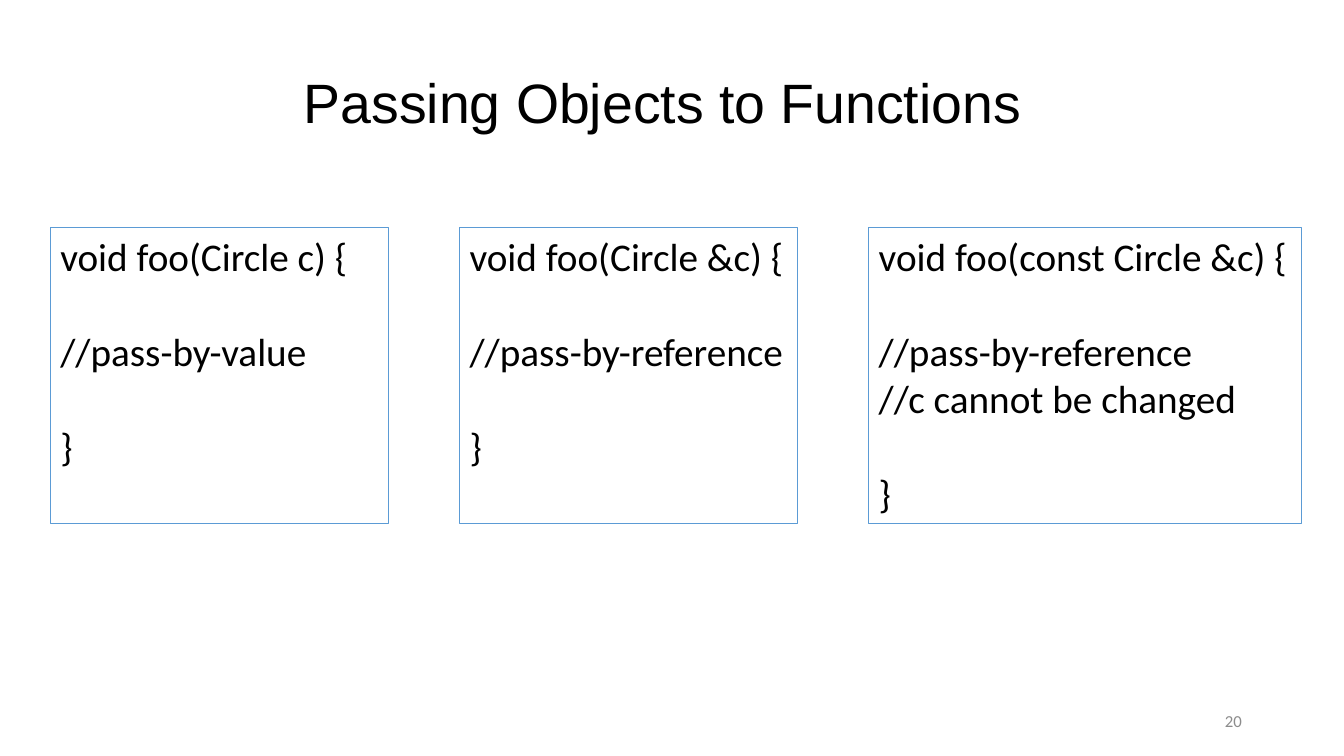
from pptx import Presentation
from pptx.dml.color import RGBColor
from pptx.enum.shapes import MSO_SHAPE
from pptx.enum.text import MSO_ANCHOR, MSO_AUTO_SIZE, PP_ALIGN
from pptx.util import Pt

RECTANGLE = MSO_SHAPE.RECTANGLE
TOP, MIDDLE = MSO_ANCHOR.TOP, MSO_ANCHOR.MIDDLE
LEFT, CENTER, RIGHT = PP_ALIGN.LEFT, PP_ALIGN.CENTER, PP_ALIGN.RIGHT
NO_AUTOFIT = MSO_AUTO_SIZE.NONE

BLACK = RGBColor(0x00, 0x00, 0x00)
GRAY = RGBColor(0x8C, 0x8C, 0x8C)
BLUE = RGBColor(0x5B, 0x9B, 0xD5)

TITLE_FONT = {"name": "Arial", "size": Pt(39.6)}
CODE_FONT = {"name": "Calibri", "size": Pt(28)}
NUMBER_FONT = {"name": "Calibri", "size": Pt(12)}
CODE_LINE = 34.2

SIGNATURES = [
    (241.2, "void foo(Circle c) {", ["//pass-by-value"]),
    (241.2, "void foo(Circle &c) {", ["//pass-by-reference"]),
    (308.9, "void foo(const Circle &c) {",
     ["//pass-by-reference", "//c cannot be changed"]),
]


def set_attributes(target, values):
    for key, value in values.items():
        setattr(target, key, value)


def set_frame(frame, anchor):
    set_attributes(frame, {"word_wrap": True, "auto_size": NO_AUTOFIT,
                           "vertical_anchor": anchor})


def write(paragraph, text, font, color, align):
    paragraph.text = text
    paragraph.alignment = align
    set_attributes(paragraph.font, font)
    paragraph.font.color.rgb = color


def add_title(slide, left, top, width, height):
    title = slide.shapes.title
    set_attributes(title, {"left": Pt(left), "top": Pt(top),
                           "width": Pt(width), "height": Pt(height)})
    set_frame(title.text_frame, MIDDLE)
    heading = title.text_frame.paragraphs[0]
    write(heading, "Passing Objects to Functions ", TITLE_FONT, BLACK, CENTER)
    heading.line_spacing = 0.9


def add_function(slide, left, top, width, height, signature, comments):
    panel = slide.shapes.add_shape(
        RECTANGLE, Pt(left), Pt(top), Pt(width), Pt(height))
    panel.shadow.inherit = False
    panel.fill.background()
    panel.line.color.rgb = BLUE
    panel.line.width = Pt(0.75)
    frame = panel.text_frame
    set_frame(frame, TOP)
    write(frame.paragraphs[0], signature, CODE_FONT, BLACK, LEFT)
    for index, code in enumerate([*comments, "}"]):
        statement = frame.add_paragraph()
        write(statement, code, CODE_FONT, BLACK, LEFT)
        opens_block = index in (0, len(comments))
        statement.space_before = Pt(CODE_LINE if opens_block else 0)


def add_functions(slide, left, top, pitch, height):
    for column, (width, signature, comments) in enumerate(SIGNATURES):
        add_function(slide, left + column * pitch, top, width, height,
                     signature, comments)


def add_slide_number(slide, left, top, width, height):
    number = slide.shapes.add_textbox(
        Pt(left), Pt(top), Pt(width), Pt(height))
    set_frame(number.text_frame, MIDDLE)
    write(number.text_frame.paragraphs[0], "20", NUMBER_FONT, GRAY, RIGHT)


def main():
    deck = Presentation()
    set_attributes(deck, {"slide_width": Pt(960), "slide_height": Pt(540)})
    slide = deck.slides.add_slide(deck.slide_layouts.get_by_name("Title Only"))
    add_title(slide, 15.1, 49, 927.4, 52.6)
    add_functions(slide, 36, 162.7, 292.3, 211)
    add_slide_number(slide, 678.2, 500.4, 216, 28.8)
    deck.save("out.pptx")


if __name__ == "__main__":
    main()
